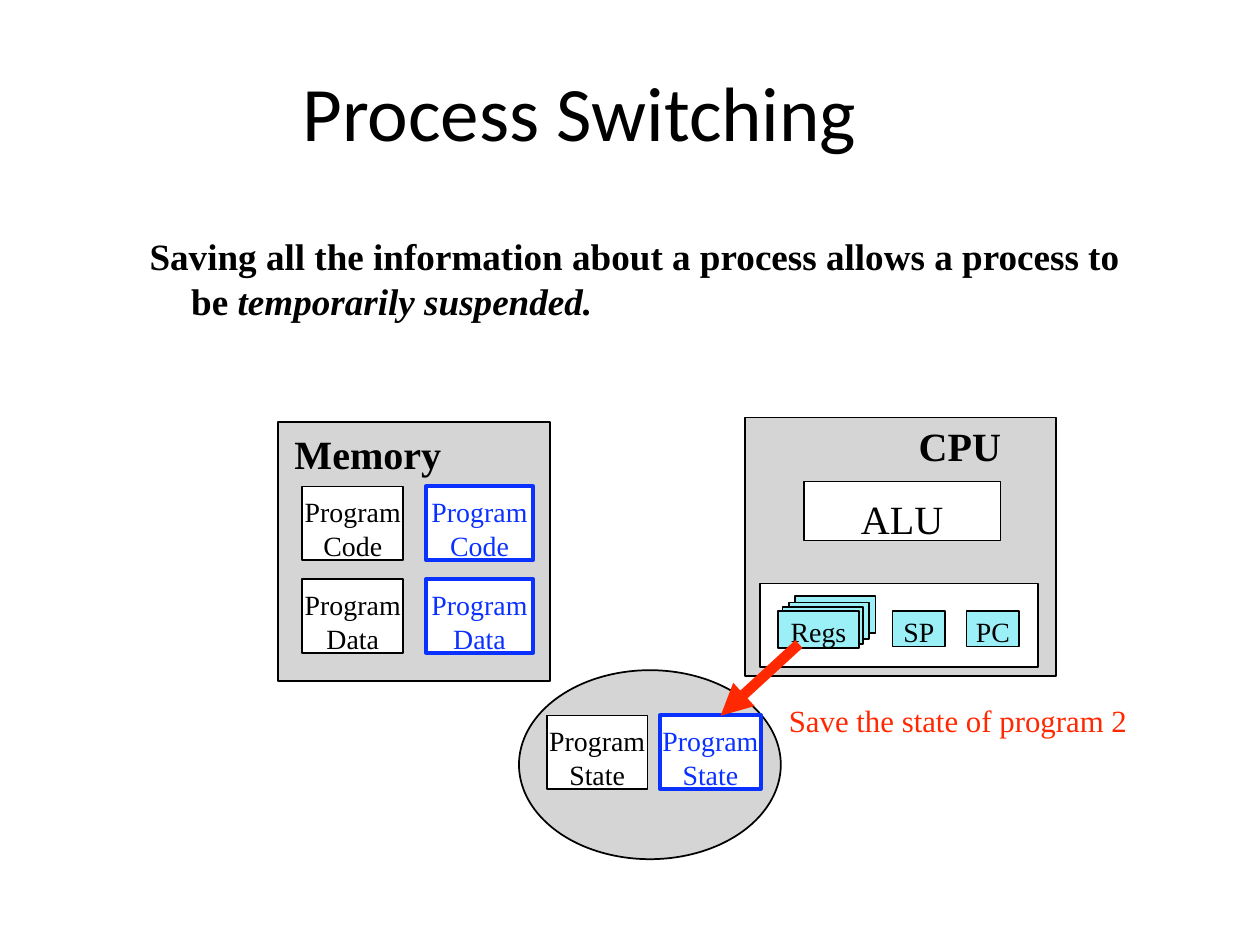
from lxml.etree import SubElement
from pptx import Presentation
from pptx.dml.color import RGBColor
from pptx.enum.shapes import MSO_CONNECTOR, MSO_SHAPE
from pptx.enum.text import MSO_ANCHOR, PP_ALIGN
from pptx.oxml.ns import qn
from pptx.util import Pt

BLACK = RGBColor(0x00, 0x00, 0x00)
WHITE = RGBColor(0xFF, 0xFF, 0xFF)
GRAY = RGBColor(0xD5, 0xD5, 0xD5)
BLUE = RGBColor(0x0A, 0x31, 0xFF)
CYAN = RGBColor(0x9A, 0xF0, 0xF6)
RED = RGBColor(0xFF, 0x28, 0x00)
SERIF = "Times New Roman"


def set_text(shape, text, size, color, top, font=SERIF, align=PP_ALIGN.CENTER, bold=False):
    frame = shape.text_frame
    frame.word_wrap = True
    frame.vertical_anchor = MSO_ANCHOR.TOP
    frame.margin_left = frame.margin_right = frame.margin_bottom = 0
    frame.margin_top = Pt(top)
    frame.text = text
    paragraph = frame.paragraphs[0]
    paragraph.alignment = align
    for run in paragraph.runs:
        run.font.name = font
        run.font.size = Pt(size)
        run.font.bold = bold
        run.font.color.rgb = color
    return paragraph


def add_label(slide, left, top, width, height, text, size, color=BLACK, inset=1.6, **style):
    box = slide.shapes.add_textbox(Pt(left), Pt(top), Pt(width), Pt(height))
    return set_text(box, text, size, color, inset, **style)


def add_block(slide, left, top, width, height, fill, line=BLACK, line_width=1, kind=MSO_SHAPE.RECTANGLE):
    shape = slide.shapes.add_shape(kind, Pt(left), Pt(top), Pt(width), Pt(height))
    shape.shadow.inherit = False
    shape.fill.solid()
    shape.fill.fore_color.rgb = fill
    shape.line.color.rgb = line
    shape.line.width = Pt(line_width)
    return shape


def add_program_box(slide, left, top, width, part, color):
    line_width = 2.25 if color == BLUE else 1
    box = add_block(slide, left, top, width, 42, WHITE, color, line_width)
    paragraph = set_text(box, f"Program {part}", 15.9, color, 4.5)
    paragraph.line_spacing = 1.02


def add_register(slide, left, top, width, height, text):
    register = add_block(slide, left, top, width, height, CYAN)
    set_text(register, text, 15.9, BLACK, 2)


def add_arrow(slide, start, end, color, width):
    points = [Pt(value) for value in (*start, *end)]
    arrow = slide.shapes.add_connector(MSO_CONNECTOR.STRAIGHT, *points)
    arrow.line.color.rgb = color
    arrow.line.width = Pt(width)
    SubElement(arrow.line._get_or_add_ln(), qn("a:tailEnd"), type="triangle")
    SubElement(arrow._element.spPr, qn("a:effectLst"))


def add_statement(slide):
    paragraph = add_label(
        slide, 85, 131.8, 560, 51, "Saving all the information about a process allows a process to be ",
        21.2, align=PP_ALIGN.LEFT, bold=True)
    properties = paragraph._p.get_or_add_pPr()
    properties.set("marL", str(Pt(24.3)))
    properties.set("indent", str(Pt(-23.8)))
    run = paragraph.add_run()
    run.text = "temporarily suspended."
    run.font.name = SERIF
    run.font.size = Pt(21.2)
    run.font.bold = run.font.italic = True
    run.font.color.rgb = BLACK


def add_memory(slide):
    add_block(slide, 159, 241.2, 155.4, 147.9, GRAY)
    add_label(slide, 168.3, 244, 86, 29, "Memory", 22.9, align=PP_ALIGN.LEFT, bold=True)
    for left, width, color in ((172.8, 57.6, BLACK), (243.4, 61.2, BLUE)):
        for top, part in ((278, "Code"), (331, "Data")):
            add_program_box(slide, left, top, width, part, color)


def add_cpu(slide):
    add_block(slide, 425.5, 238.6, 178, 147.8, GRAY)
    add_label(slide, 525, 239, 55, 29, "CPU", 22.9, align=PP_ALIGN.LEFT, bold=True)
    alu = add_block(slide, 459.4, 275.2, 112.3, 33.8, WHITE)
    set_text(alu, "ALU", 22.9, BLACK, 7.5)
    add_block(slide, 434.3, 333.5, 159, 47.5, WHITE)
    for left, text in ((510, "SP"), (552.3, "PC")):
        add_register(slide, left, 349.3, 30.2, 20.2, text)
    for left, top in ((454.3, 340.6), (450.7, 344.2), (447.1, 347)):
        add_block(slide, left, top, 46, 21, CYAN)
    add_register(slide, 444.7, 349.3, 46, 21, "Regs")


def add_saved_states(slide):
    add_block(slide, 296.6, 383, 149.6, 108, GRAY, kind=MSO_SHAPE.OVAL)
    for left, color in ((312.5, BLACK), (377.2, BLUE)):
        add_program_box(slide, left, 408.8, 57.6, "State", color)
    add_arrow(slide, (456.5, 368), (411.8, 409), RED, 6)
    add_label(slide, 450.8, 399.6, 200, 22.3, "Save the state of program 2", 17.6, RED, align=PP_ALIGN.LEFT)


def main():
    presentation = Presentation()
    presentation.slide_width = Pt(720)
    presentation.slide_height = Pt(540)
    slide = presentation.slides.add_slide(presentation.slide_layouts[6])
    add_label(slide, 45.5, 29.5, 571.7, 58.3, "Process Switching", 44, inset=7.5, font="Calibri")
    add_statement(slide)
    add_memory(slide)
    add_cpu(slide)
    add_saved_states(slide)
    presentation.save("out.pptx")


if __name__ == "__main__":
    main()
